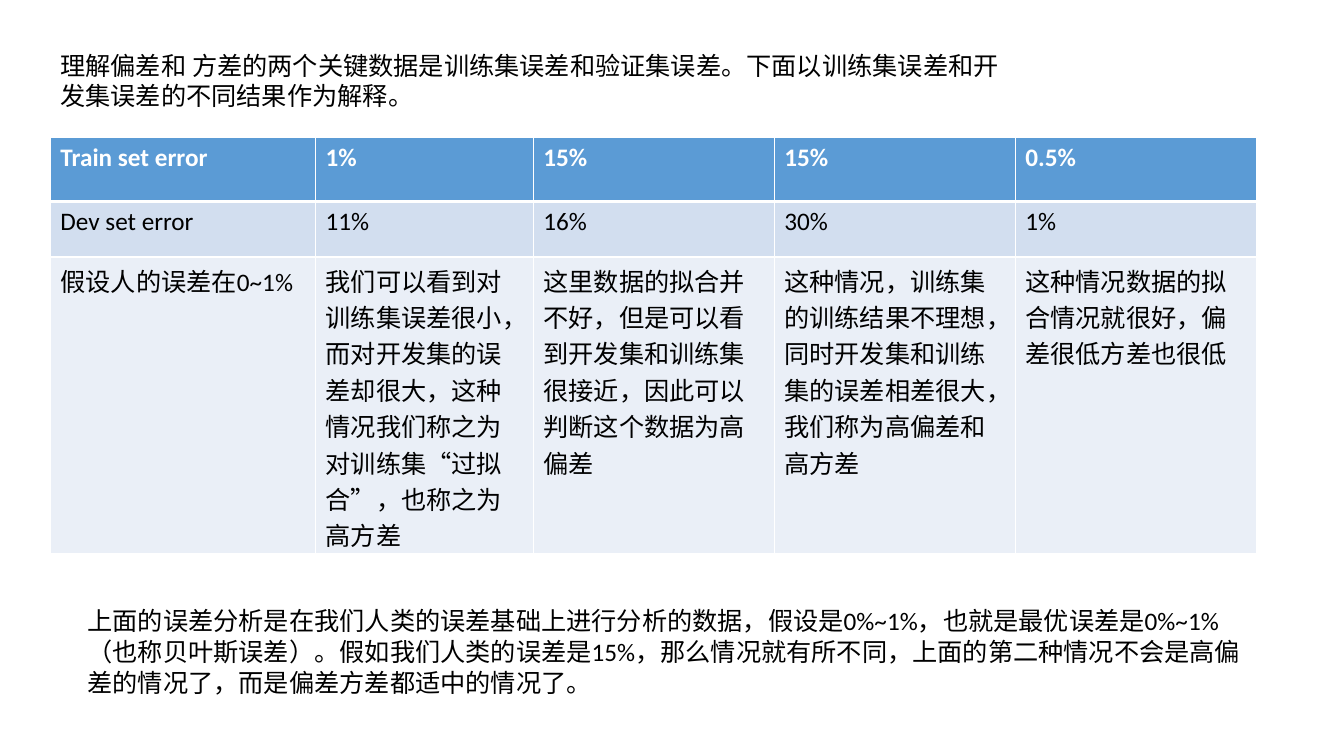
from lxml import etree
from pptx import Presentation, util as u
from pptx.dml.color import RGBColor
from pptx.enum import text
from pptx.oxml.ns import qn

# Content
INTRO = "理解偏差和 方差的两个关键数据是训练集误差和验证集误差。下面以训练集误差和开发集误差的不同结果作为解释。"
CLOSING = ("上面的误差分析是在我们人类的误差基础上进行分析的数据，假设是0%~1%，也就是最优误差是0%~1%"
           "（也称贝叶斯误差）。假如我们人类的误差是15%，那么情况就有所不同，"
           "上面的第二种情况不会是高偏差的情况了，而是偏差方差都适中的情况了。")
ERRORS = [
    ["Train set error", "1%", "15%", "15%", "0.5%"],
    ["Dev set error", "11%", "16%", "30%", "1%"],
    ["假设人的误差在0~1%",
     "我们可以看到对训练集误差很小，而对开发集的误差却很大，这种情况我们称之为对训练集“过拟合”，也称之为高方差",
     "这里数据的拟合并不好，但是可以看到开发集和训练集很接近，因此可以判断这个数据为高偏差",
     "这种情况，训练集的训练结果不理想，同时开发集和训练集的误差相差很大，我们称为高偏差和高方差",
     "这种情况数据的拟合情况就很好，偏差很低方差也很低"],
]
COLUMN_WIDTHS = [2.63, 2.16, 2.39, 2.39, 2.39]
# Row height, fill, text colour, bold, line spacing in points, bottom border width
ROW_STYLES = [
    (0.64, "5B9BD5", "FFFFFF", True, 22, 3),
    (0.55, "D2DEEF", "000000", False, 22, 1),
    (2.93, "EAEFF7", "000000", False, 26, 1),
]


def color(hex_code):
    return RGBColor.from_string(hex_code)


def write(frame, words, hex_code="000000", bold=False, spacing=22):
    frame.text = words
    paragraph = frame.paragraphs[0]
    paragraph.line_spacing = u.Pt(spacing)
    font = paragraph.font
    font.name, font.size, font.bold = "Calibri", u.Pt(18), bold
    font.color.rgb = color(hex_code)


def add_note(slide, words, left, top, width, height):
    box = slide.shapes.add_textbox(*map(u.Inches, (left, top, width, height)))
    box.text_frame.word_wrap = True
    box.text_frame.auto_size = text.MSO_AUTO_SIZE.SHAPE_TO_FIT_TEXT
    write(box.text_frame, words)


def add_border(cell, side, points):
    line = etree.SubElement(cell._tc.get_or_add_tcPr(), qn(f"a:ln{side}"), w=str(u.Pt(points)))
    fill = etree.SubElement(line, qn("a:solidFill"))
    etree.SubElement(fill, qn("a:srgbClr"), val="FFFFFF")


presentation = Presentation()
presentation.slide_width, presentation.slide_height = u.Inches(13.33), u.Inches(7.5)
slide = presentation.slides.add_slide(presentation.slide_layouts[6])

# Introduction
add_note(slide, INTRO, 0.5, 0.44, 9.51, 0.71)

# Error table
heights = [style[0] for style in ROW_STYLES]
table = slide.shapes.add_table(
    len(ERRORS), len(COLUMN_WIDTHS), u.Inches(0.5), u.Inches(1.36),
    u.Inches(sum(COLUMN_WIDTHS)), u.Inches(sum(heights))).table
for column, width in zip(table.columns, COLUMN_WIDTHS):
    column.width = u.Inches(width)
top_border = 1
for row, words, style in zip(table.rows, ERRORS, ROW_STYLES):
    height, fill, ink, bold, spacing, bottom_border = style
    row.height = u.Inches(height)
    for cell, entry in zip(row.cells, words):
        write(cell.text_frame, entry, ink, bold, spacing)
        cell.margin_bottom = 0
        for side, points in zip("LRTB", (1, 1, top_border, bottom_border)):
            add_border(cell, side, points)
        cell.fill.solid()
        cell.fill.fore_color.rgb = color(fill)
    top_border = bottom_border

# Closing remark
add_note(slide, CLOSING, 0.77, 5.95, 11.77, 1.01)

presentation.save("out.pptx")
